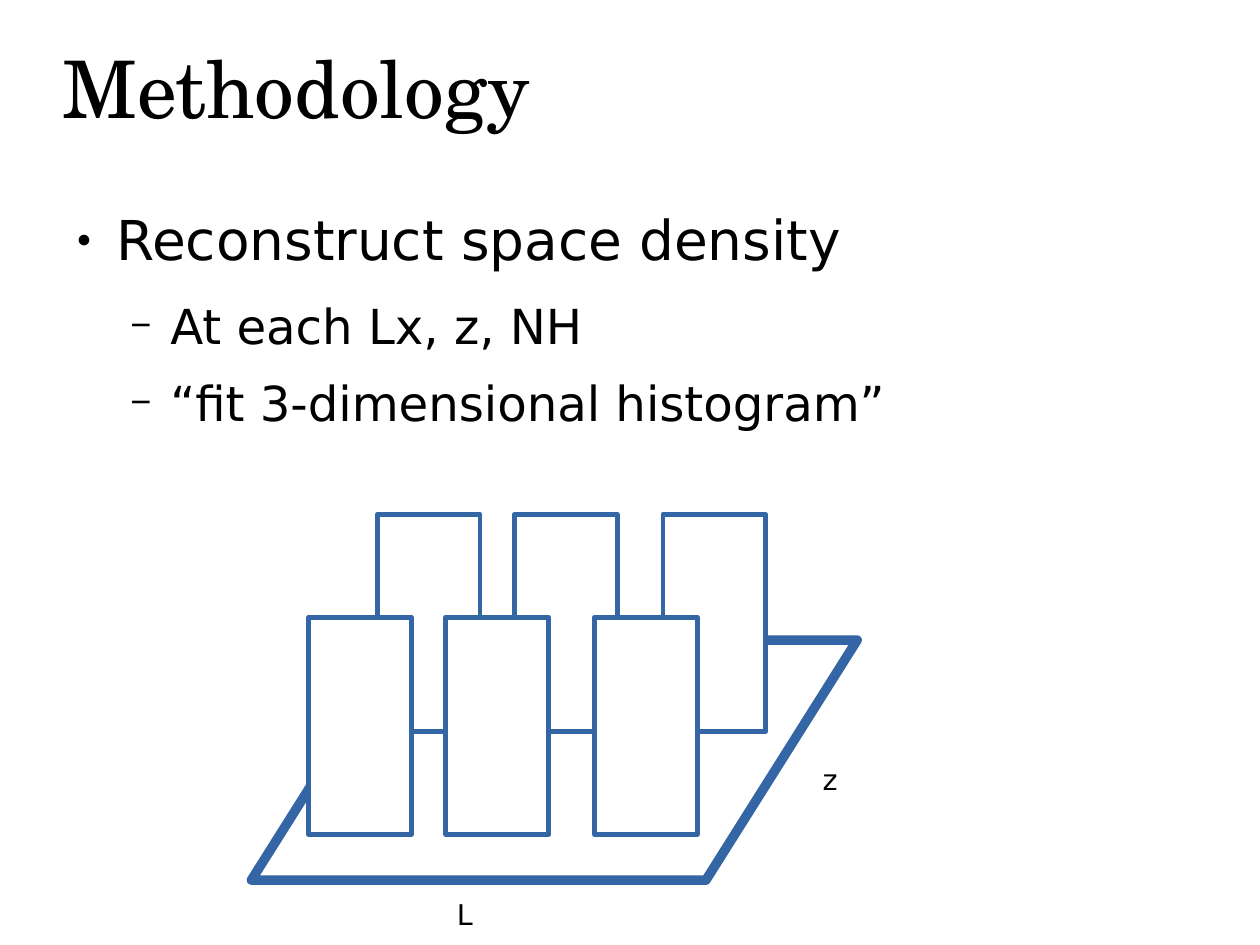
from dataclasses import dataclass

from lxml.etree import SubElement
from pptx import Presentation
from pptx.dml.color import RGBColor as Rgb
from pptx.enum.shapes import MSO_SHAPE as Preset
from pptx.enum.text import MSO_ANCHOR as Anchor, MSO_AUTO_SIZE as AutoSize, PP_ALIGN as Align
from pptx.oxml.ns import qn
from pptx.util import Inches, Pt

COLORS = {"ink": "000000", "outline": "3465A4", "bar": "FFFFFF"}
TITLE_FONT = "TeX Gyre Schola"
TEXT_FONT = "DejaVu Sans"
CM_PER_INCH = 2.54
ROW_OFFSETS = (0, 1.2, 2.5)


@dataclass
class BulletStyle:
    symbol: str
    percent: int
    indent: float
    size: float
    after: float


@dataclass
class Bullet:
    text: str
    level: int


@dataclass
class BarRow:
    left: float
    top: float


@dataclass
class AxisLabel:
    text: str
    left: float
    top: float


STYLES = (
    BulletStyle("●", 45, 0.47, 34.6, 15.2),
    BulletStyle("−", 75, 0.94, 30.4, 12.2),
)
BULLETS = (
    Bullet("Reconstruct space density", 0),
    Bullet("At each Lx, z, NH", 1),
    Bullet("“fit 3-dimensional histogram”", 1),
)
BAR_ROWS = (BarRow(3.3, 4.5), BarRow(2.7, 5.4))
AXIS_LABELS = (AxisLabel("L", 3.9, 7.8), AxisLabel("z", 7.1, 6.62))


def place(box, left: float, top: float, width: float, height: float) -> None:
    """Move and size a box, in inches."""
    box.left, box.top = Inches(left), Inches(top)
    box.width, box.height = Inches(width), Inches(height)


def clear_margins(frame) -> None:
    """Remove the inner margins of a text frame."""
    frame.margin_left = frame.margin_right = 0
    frame.margin_top = frame.margin_bottom = 0


def add_span(para, text: str, font: str, size: float) -> None:
    """Add one formatted run."""
    span = para.add_run()
    span.text = text
    span.font.name = font
    span.font.size = Pt(size)
    span.font.color.rgb = Rgb.from_string(COLORS["ink"])


def set_bullet(para, style: BulletStyle) -> None:
    """Give a paragraph its hanging indent and bullet."""
    props = para._p.get_or_add_pPr()
    props.set("marL", str(Inches(style.indent)))
    props.set("indent", str(Inches(-0.35)))
    color = SubElement(props, qn("a:buClr"))
    SubElement(color, qn("a:srgbClr"), val=COLORS["ink"])
    SubElement(props, qn("a:buSzPct"), val=str(style.percent * 1000))
    SubElement(props, qn("a:buChar"), char=style.symbol)


def fill_title(box) -> None:
    """Format and fill the title placeholder."""
    place(box, 0.55, 0.28, 10.05, 0.95)
    frame = box.text_frame
    clear_margins(frame)
    frame.vertical_anchor = Anchor.MIDDLE
    frame.auto_size = AutoSize.SHAPE_TO_FIT_TEXT
    para = frame.paragraphs[0]
    para.alignment = Align.LEFT
    add_span(para, "Methodology", TITLE_FONT, 50)


def fill_body(box) -> None:
    """Format and fill the body placeholder."""
    place(box, 0.55, 1.8, 9.92, 4.99)
    frame = box.text_frame
    clear_margins(frame)
    frame.auto_size = AutoSize.NONE
    for index, bullet in enumerate(BULLETS):
        style = STYLES[bullet.level]
        para = frame.add_paragraph() if index else frame.paragraphs[0]
        para.level = bullet.level
        para.space_before = Pt(0)
        para.space_after = Pt(style.after)
        set_bullet(para, style)
        add_span(para, bullet.text, TEXT_FONT, style.size)


def add_outlined(page, preset: Preset, left: float, top: float,
                 width: float, height: float, weight: float):
    """Add an unfilled shape with a blue, round-joined outline."""
    shape = page.shapes.add_shape(
        preset, Inches(left), Inches(top), Inches(width), Inches(height))
    shape.shadow.inherit = False
    shape.fill.background()
    shape.line.color.rgb = Rgb.from_string(COLORS["outline"])
    shape.line.width = Pt(weight)
    SubElement(shape.line._get_or_add_ln(), qn("a:round"))
    return shape


def add_bar_row(page, row: BarRow) -> None:
    """Draw one row of histogram bars."""
    for offset in ROW_OFFSETS:
        bar = add_outlined(page, Preset.RECTANGLE, row.left + offset, row.top, 0.9, 1.9, 3)
        bar.fill.solid()
        bar.fill.fore_color.rgb = Rgb.from_string(COLORS["bar"])


def add_axis_label(page, label: AxisLabel) -> None:
    """Write the name of an axis."""
    box = page.shapes.add_textbox(
        Inches(label.left), Inches(label.top), Inches(0.9), Inches(0.48))
    frame = box.text_frame
    frame.word_wrap = True
    frame.auto_size = AutoSize.SHAPE_TO_FIT_TEXT
    add_span(frame.paragraphs[0], label.text, TEXT_FONT, 18)


def main() -> None:
    """Build and save the deck."""
    deck = Presentation()
    deck.slide_width = Inches(28 / CM_PER_INCH)
    deck.slide_height = Inches(21 / CM_PER_INCH)
    page = deck.slides.add_slide(deck.slide_layouts[1])
    fill_title(page.shapes.title)
    fill_body(page.placeholders[1])
    base = add_outlined(page, Preset.PARALLELOGRAM, 2.2, 5.6, 5.3, 2.1, 6)
    base.adjustments[0] = 0.63
    for row in BAR_ROWS:
        add_bar_row(page, row)
    for label in AXIS_LABELS:
        add_axis_label(page, label)
    deck.save("out.pptx")


if __name__ == "__main__":
    main()
